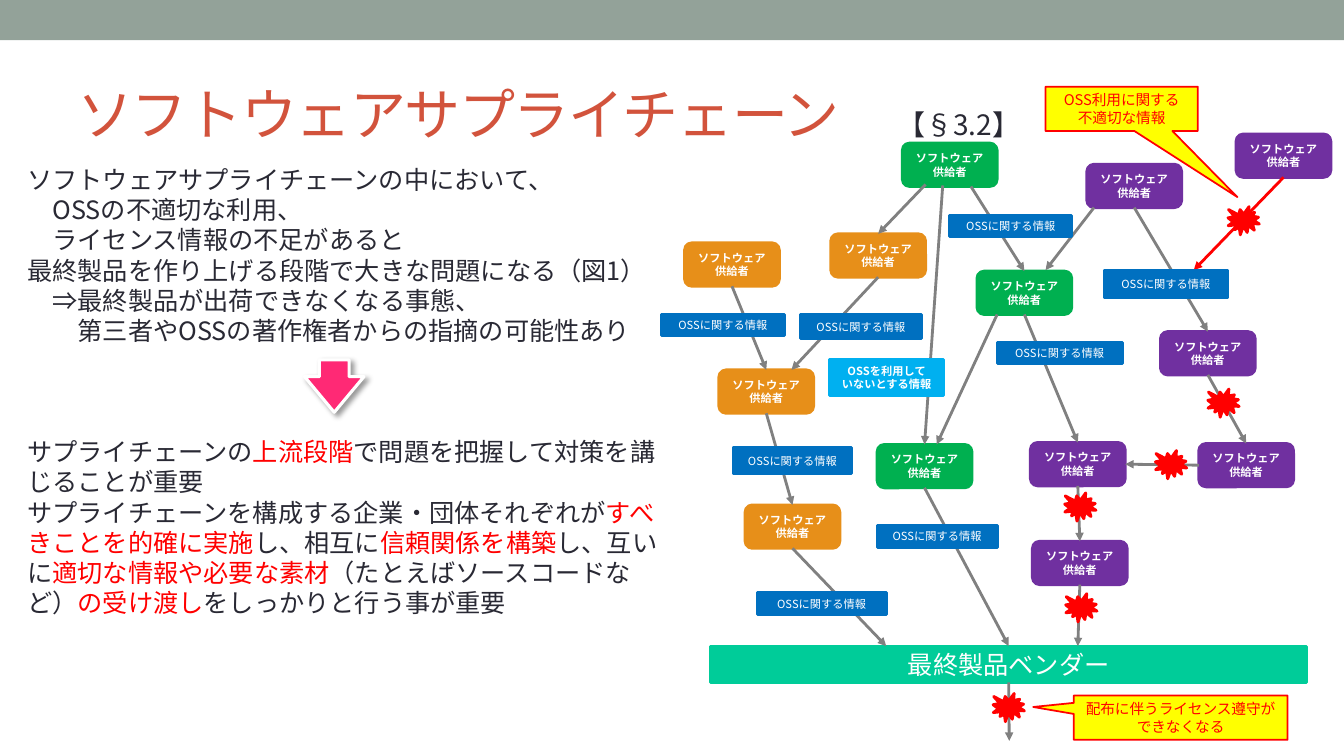
from lxml.etree import SubElement
from pptx import Presentation
from pptx.dml.color import RGBColor
from pptx.enum.shapes import MSO_CONNECTOR, MSO_SHAPE
from pptx.enum.text import MSO_ANCHOR, PP_ALIGN
from pptx.oxml.ns import qn
from pptx.util import Cm, Pt

COLORS = {
    "band": "93A299", "title": "D2533C", "ink": "292934", "red": "FF0000",
    "orange": "E78F19", "green": "00B050", "purple": "7030A0", "blue": "0070C0",
    "sky": "00B0F0", "yellow": "FFFF00", "vendor": "00CC99", "pink": "FF2975",
    "gray": "808080", "white": "FFFFFF", "black": "000000",
}
FONT = "Noto Sans CJK JP"
TOP, LEFT, BOTTOM, RIGHT = range(4)


def length(inches):
    return Cm(inches * 2.54)


def color(name):
    return RGBColor.from_string(COLORS[name])


class SlideBuilder:
    """Holds the shared style and the current page, and draws each kind of element."""

    def __init__(self, deck):
        self.page = deck.slides.add_slide(deck.slide_layouts[6])

    def span(self, para, text, size, ink, bold=False, font=FONT, spacing=None):
        for index, piece in enumerate(text.split("\n")):
            if index:
                para.add_line_break()
            run = para.add_run()
            run.text = piece
            for name, value in {"size": Pt(size), "bold": bold, "name": font}.items():
                setattr(run.font, name, value)
            run.font.color.rgb = color(ink)
            properties = run._r.get_or_add_rPr()
            SubElement(properties, qn("a:ea")).set("typeface", FONT)
            if spacing is not None:
                properties.set("spc", str(spacing))

    def frame(self, box, side=0.1, edge=0, anchor=MSO_ANCHOR.MIDDLE):
        settings = {
            "word_wrap": True, "vertical_anchor": anchor,
            "margin_left": length(side), "margin_right": length(side),
            "margin_top": length(edge), "margin_bottom": length(edge),
        }
        for name, value in settings.items():
            setattr(box.text_frame, name, value)
        return box.text_frame

    def shape(self, kind, at, fill, line=None, width=2.08, adjust=()):
        box = self.page.shapes.add_shape(kind, *map(length, at))
        box.shadow.inherit = False
        box.fill.solid()
        box.fill.fore_color.rgb = color(fill)
        box.line.color.rgb = color(line or fill)
        box.line.width = Pt(width)
        for index, value in enumerate(adjust):
            box.adjustments[index] = value
        return box

    def label(self, box, text, size, ink="white", bold=False, font=FONT):
        para = self.frame(box).paragraphs[0]
        para.alignment = PP_ALIGN.CENTER
        para.line_spacing = Pt(size * 1.2)
        self.span(para, text, size, ink, bold, font)
        return box

    def supplier(self, left, top, fill):
        box = self.shape(MSO_SHAPE.ROUNDED_RECTANGLE, (left, top, 0.94, 0.43), fill)
        return self.label(box, "ソフトウェア\n供給者", 8, bold=True)

    def information(self, at, text="OSSに関する情報", fill="blue", bold=False):
        self.label(self.shape(MSO_SHAPE.RECTANGLE, at, fill), text, 8, bold=bold)

    def callout(self, at, text, adjust):
        box = self.shape(MSO_SHAPE.RECTANGULAR_CALLOUT, at, "yellow", "red", 1.25, adjust)
        self.label(box, text, 10.5, "red")

    def burst(self, left, top):
        self.shape(MSO_SHAPE.EXPLOSION1, (left, top, 0.31, 0.28), "red")

    def arrow(self, start, end, ink="gray"):
        points = [(0, 0) if hasattr(spot[0], "shape_id") else spot for spot in (start, end)]
        line = self.page.shapes.add_connector(
            MSO_CONNECTOR.STRAIGHT, *[length(value) for point in points for value in point])
        for spot, connect in ((start, line.begin_connect), (end, line.end_connect)):
            if hasattr(spot[0], "shape_id"):
                connect(*spot)
        line.line.color.rgb = color(ink)
        line.line.width = Pt(2)
        SubElement(line.line._get_or_add_ln(), qn("a:tailEnd")).set("type", "triangle")
        SubElement(line._element.spPr, qn("a:effectLst"))

    def heading(self, at, text, section):
        box = self.page.shapes.add_textbox(*map(length, at))
        para = self.frame(box).paragraphs[0]
        tabs = SubElement(para._p.get_or_add_pPr(), qn("a:tabLst"))
        tab = SubElement(tabs, qn("a:tab"))
        tab.set("pos", str(length(8.13)))
        tab.set("algn", "l")
        self.span(para, text + "\t", 40, "title", font="Arial", spacing=-100)
        self.span(para, section, 20, "ink")

    def body(self, at, lines):
        box = self.page.shapes.add_textbox(*map(length, at))
        frame = self.frame(box, 0, 0.04, MSO_ANCHOR.TOP)
        for index, (indent, before, spans) in enumerate(lines):
            para = frame.add_paragraph() if index else frame.paragraphs[0]
            para._p.get_or_add_pPr().set("marL", str(length(indent * 0.25)))
            para.line_spacing = Pt(21.6)
            para.space_before = Pt(before)
            for position, text in enumerate(spans):
                self.span(para, text, 18, "red" if position % 2 else "ink")

    def down_arrow(self, at):
        box = self.shape(MSO_SHAPE.DOWN_ARROW, at, "pink", "white", 2.25, (0.5, 0.68))
        effects = box._element.spPr.find(qn("a:effectLst"))
        shadow = SubElement(effects, qn("a:outerShdw"))
        for name, value in {"blurRad": Pt(4), "dist": Pt(3), "dir": 45 * 60000}.items():
            shadow.set(name, str(int(value)))
        tint = SubElement(shadow, qn("a:srgbClr"))
        tint.set("val", COLORS["black"])
        SubElement(tint, qn("a:alpha")).set("val", "40000")


def main():
    deck = Presentation()
    deck.slide_width, deck.slide_height = length(13.33), length(7.5)
    page = SlideBuilder(deck)

    band = page.shape(MSO_SHAPE.RECTANGLE, (0, 0, 13.33, 0.4), "band")
    band.line.fill.background()
    page.heading((0.67, 0.58, 12, 1.08), "ソフトウェアサプライチェーン", "【§3.2】")
    page.body((0.27, 1.59, 6.29, 3.83), [
        (0, 0, ["ソフトウェアサプライチェーンの中において、"]),
        (1, 0, ["OSSの不適切な利用、"]),
        (1, 0, ["ライセンス情報の不足があると"]),
        (0, 0, ["最終製品を作り上げる段階で大きな問題になる（図1）"]),
        (1, 0, ["⇒最終製品が出荷できなくなる事態、"]),
        (2, 0, ["第三者やOSSの著作権者からの指摘の可能性あり"]),
        (0, 64.8, ["サプライチェーンの", "上流段階", "で問題を把握して対策を講じることが重要"]),
        (0, 0, ["サプライチェーンを構成する企業・団体それぞれが", "すべきことを的確に実施",
                "し、相互に", "信頼関係を構築", "し、互いに", "適切な情報や必要な素材",
                "（たとえばソースコードなど）", "の受け渡し", "をしっかりと行う事が重要"]),
    ])

    suppliers = {
        "orange": [(6.79, 2.41), (8.24, 2.32), (7.13, 3.67), (7.39, 5.01)],
        "green": [(8.95, 1.42), (9.69, 2.69), (8.7, 4.41)],
        "purple": [(10.78, 1.63), (12.26, 1.33), (11.51, 3.29), (11.89, 4.4),
                   (10.22, 4.39), (10.24, 5.37)],
    }
    orange, green, purple = (
        [page.supplier(left, top, fill) for left, top in spots]
        for fill, spots in suppliers.items())
    vendor = page.shape(MSO_SHAPE.RECTANGLE, (7.05, 6.41, 5.91, 0.36), "vendor")
    page.label(vendor, "最終製品ベンダー", 18, font="Arial")

    for start, end in [
        ((orange[0], BOTTOM), (orange[2], TOP)),
        ((orange[1], BOTTOM), (7.85, 3.67)),
        ((orange[2], BOTTOM), (orange[3], TOP)),
        ((orange[3], BOTTOM), (8.79, 6.41)),
        ((9.18, 1.83), (orange[1], TOP)),
        ((9.35, 1.84), (green[2], TOP)),
        ((9.63, 1.85), (green[1], TOP)),
        ((green[2], BOTTOM), (vendor, TOP)),
        ((9.89, 3.12), (9.29, 4.41)),
        ((green[1], BOTTOM), (purple[4], TOP)),
        ((10.85, 2.06), (10.37, 2.68)),
        ((purple[0], BOTTOM), (purple[2], TOP)),
        ((purple[2], BOTTOM), (purple[3], TOP)),
        ((purple[3], LEFT), (purple[4], RIGHT)),
        ((purple[4], BOTTOM), (purple[5], TOP)),
        ((purple[5], BOTTOM), (10.69, 6.41)),
        ((vendor, BOTTOM), (10.01, 7.35)),
    ]:
        page.arrow(start, end)
    page.arrow((purple[1], BOTTOM), (11.84, 2.68), "red")

    for at in [
        (6.56, 3.12, 1.22, 0.21), (7.94, 3.12, 1.2, 0.24), (9.42, 2.14, 1.21, 0.21),
        (10.95, 2.68, 1.23, 0.27), (9.89, 3.4, 1.24, 0.21), (7.27, 4.44, 1.18, 0.26),
        (8.7, 5.21, 1.19, 0.22), (7.51, 5.88, 1.28, 0.22),
    ]:
        page.information(at)
    page.information((8.23, 3.57, 1.13, 0.35), "OSSを利用して\nいないとする情報", "sky", True)

    page.callout((10.37, 0.86, 1.51, 0.44), "OSS利用に関する\n不適切な情報", (0.76, 1.99))
    for left, top in [(12.18, 2.05), (11.98, 3.86), (11.46, 4.47), (10.56, 4.89),
                      (10.57, 5.89), (9.85, 6.88)]:
        page.burst(left, top)
    page.callout((10.65, 6.9, 2.12, 0.44), "配布に伴うライセンス遵守ができなくなる", (-0.69, -0.24))
    page.down_arrow((3.02, 3.57, 0.59, 0.52))

    deck.save("out.pptx")


if __name__ == "__main__":
    main()
